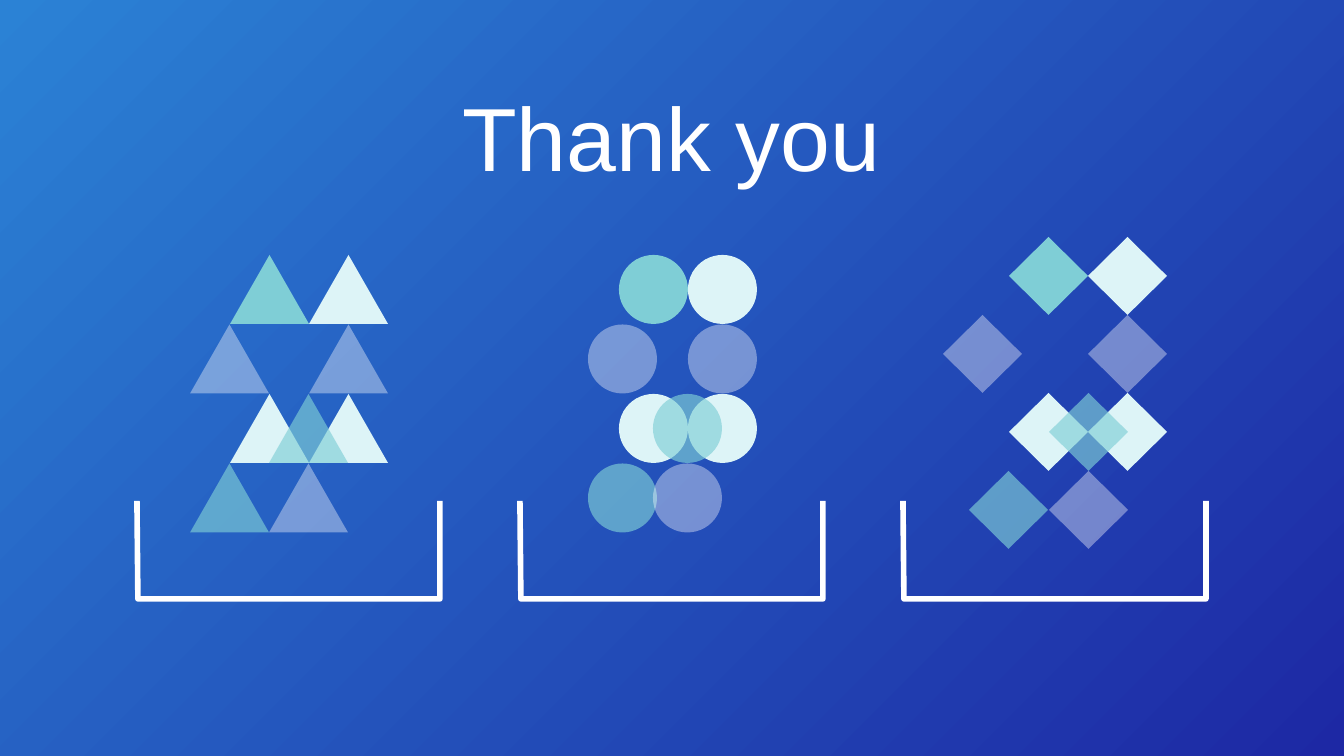
from lxml.etree import SubElement
from pptx import Presentation
from pptx.dml.color import RGBColor
from pptx.enum.shapes import MSO_SHAPE as Shape
from pptx.enum.text import MSO_ANCHOR as Anchor, PP_ALIGN as Align
from pptx.oxml.ns import qn
from pptx.util import Emu, Pt

SCALE = 914400 / 134.4
SKY = RGBColor(0x2B, 0x82, 0xD5)
NAVY = RGBColor(0x1D, 0x28, 0xA4)
WHITE = RGBColor(0xFF, 0xFF, 0xFF)
PALE = RGBColor(0xDD, 0xF4, 0xF7)
AQUA = RGBColor(0x7F, 0xCE, 0xD6)

TITLE = "Thank you"
TITLE_BOX = (105, 59, 1133, 206)
PATTERN = [
    [("inner", AQUA, 100), ("right", PALE, 100)],
    [("outer", WHITE, 38), ("right", WHITE, 38)],
    [("inner", PALE, 100), ("right", PALE, 100), ("middle", AQUA, 65)],
    [("base", AQUA, 65), ("middle", WHITE, 38)],
]
STACKS = [
    {"kind": Shape.ISOSCELES_TRIANGLE, "size": (79, 69), "top": 255, "pitch": 69.5,
     "columns": {"outer": 190, "base": 190, "inner": 230, "middle": 269, "right": 309}},
    {"kind": Shape.OVAL, "size": (69, 69), "top": 255, "pitch": 69.5,
     "columns": {"outer": 588, "base": 588, "inner": 619, "middle": 653, "right": 688}},
    {"kind": Shape.FLOWCHART_DECISION, "size": (79, 78), "top": 237, "pitch": 78,
     "columns": {"outer": 943, "base": 969, "inner": 1009, "middle": 1049, "right": 1088}},
]
TRAY = [(137, 501), (138, 599), (440, 599), (440, 501)]
TRAY_PITCH = 383


def px(value):
    return Emu(round(value * SCALE))


def add_tile(group, kind, box, color, opacity):
    tile = group.shapes.add_shape(kind, *map(px, box))
    tile.shadow.inherit = False
    tile.line.fill.background()
    tile.fill.solid()
    tile.fill.fore_color.rgb = color
    if opacity < 100:
        color_element = tile._element.spPr.find(qn("a:solidFill"))[0]
        SubElement(color_element, qn("a:alpha"), val=str(opacity * 1000))


def add_tray(group, offset):
    start, *corners = [(px(x + offset), px(y)) for x, y in TRAY]
    builder = group.shapes.build_freeform(*start)
    builder.add_line_segments(corners, close=False)
    tray = builder.convert_to_shape()
    tray.shadow.inherit = False
    tray.fill.background()
    tray.line.color.rgb = WHITE
    tray.line.width = Pt(3)


def add_title(slide):
    frame = slide.shapes.add_textbox(*map(px, TITLE_BOX)).text_frame
    frame.word_wrap = True
    frame.vertical_anchor = Anchor.TOP
    frame.margin_top = px(23)
    paragraph = frame.paragraphs[0]
    paragraph.text = TITLE
    paragraph.alignment = Align.CENTER
    paragraph.font.name = "Arial"
    paragraph.font.size = Pt(48)
    paragraph.font.color.rgb = WHITE


def main():
    presentation = Presentation()
    presentation.slide_width, presentation.slide_height = px(1344), px(756)
    slide = presentation.slides.add_slide(presentation.slide_layouts[6])

    background = slide.background.fill
    background.gradient()
    background.gradient_angle = 315
    for stop, color in zip(background.gradient_stops, (SKY, NAVY)):
        stop.color.rgb = color

    add_title(slide)
    for index, stack in enumerate(STACKS):
        group = slide.shapes.add_group_shape()
        for row, tiles in enumerate(PATTERN):
            top = stack["top"] + row * stack["pitch"]
            for column, color, opacity in tiles:
                box = (stack["columns"][column], top, *stack["size"])
                add_tile(group, stack["kind"], box, color, opacity)
        add_tray(group, index * TRAY_PITCH)

    presentation.save("out.pptx")


if __name__ == "__main__":
    main()
